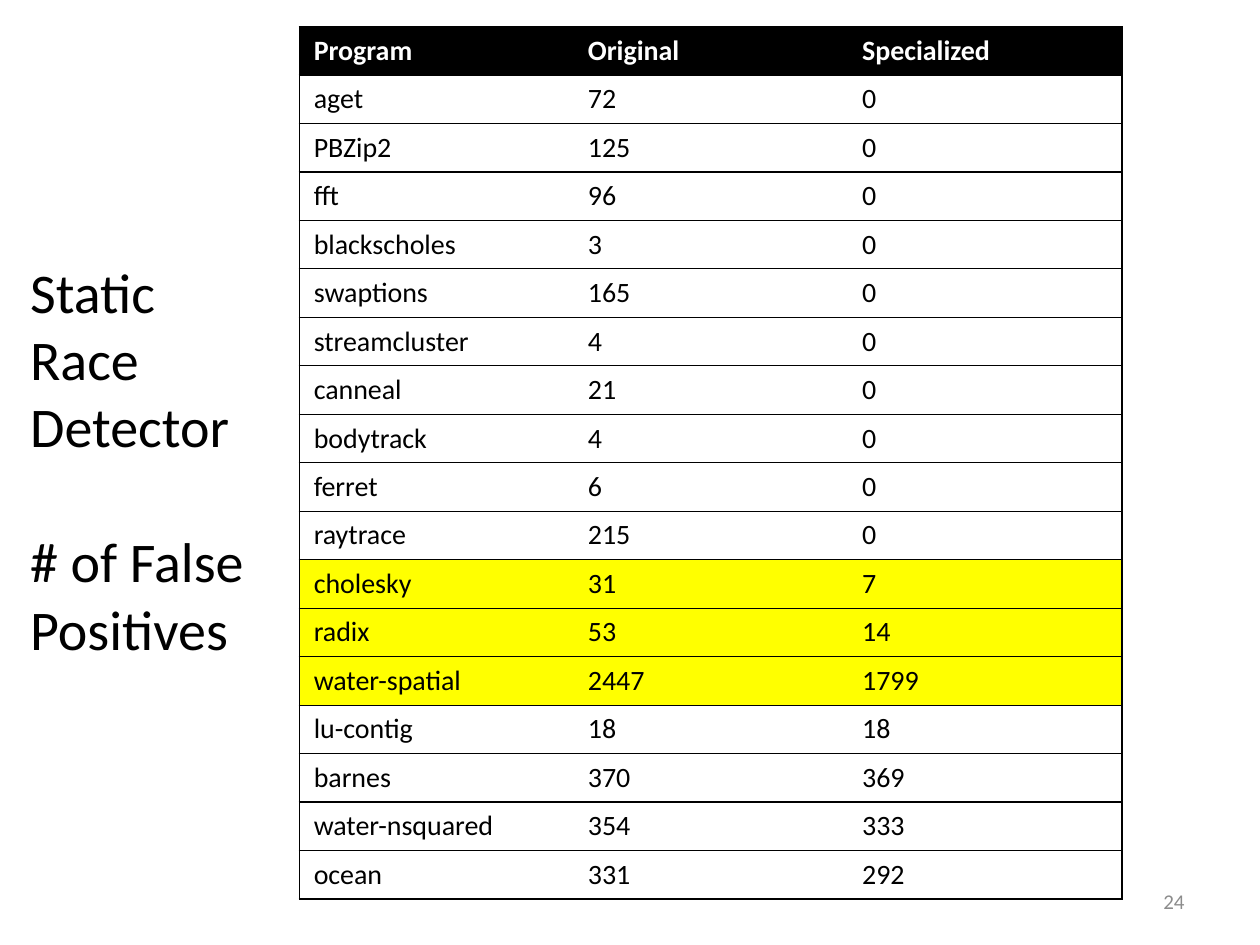
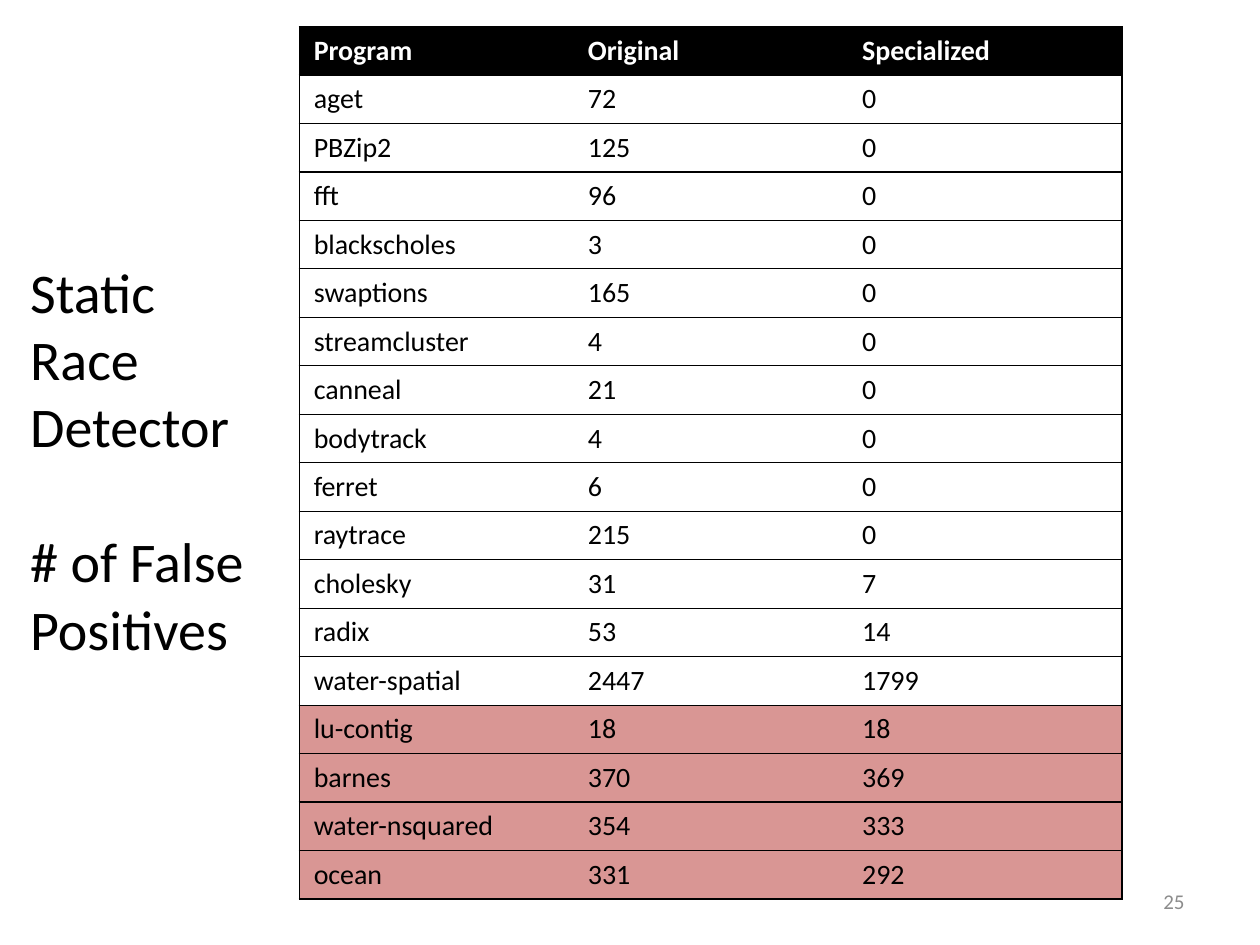
from lxml import etree
from pptx import Presentation
from pptx.dml.color import RGBColor
from pptx.enum.text import MSO_ANCHOR, MSO_AUTO_SIZE, PP_ALIGN
from pptx.oxml.ns import qn
from pptx.util import Pt

LEFT, RIGHT = PP_ALIGN.LEFT, PP_ALIGN.RIGHT
TOP, MIDDLE = MSO_ANCHOR.TOP, MSO_ANCHOR.MIDDLE
NO_AUTOFIT = MSO_AUTO_SIZE.NONE

TITLE_LINES = ["Static", "Race", "Detector", "# of False", "Positives"]
SECOND_PART = "# of False"
HEADER = ("Program", "Original", "Specialized")
FALSE_POSITIVES = [
    ("aget", 72, 0),
    ("PBZip2", 125, 0),
    ("fft", 96, 0),
    ("blackscholes", 3, 0),
    ("swaptions", 165, 0),
    ("streamcluster", 4, 0),
    ("canneal", 21, 0),
    ("bodytrack", 4, 0),
    ("ferret", 6, 0),
    ("raytrace", 215, 0),
    ("cholesky", 31, 7),
    ("radix", 53, 14),
    ("water-spatial", 2447, 1799),
    ("lu-contig", 18, 18),
    ("barnes", 370, 369),
    ("water-nsquared", 354, 333),
    ("ocean", 331, 292),
]
SLIDES = [
    {"number": 24, "highlight": "yellow",
     "programs": {"cholesky", "radix", "water-spatial"}},
    {"number": 25, "highlight": "rose",
     "programs": {"lu-contig", "barnes", "water-nsquared", "ocean"}},
]

COLORS = {"black": "000000", "white": "FFFFFF", "grey": "8C8C8C",
          "yellow": "FFFF00", "rose": "D99694"}
FONT = "Calibri"
TITLE_BOX = (10, 143.3, 142.6, 240)
NUMBER_BOX = (516, 500.5, 168, 28.8)
TABLE_LEFT, TABLE_TOP = 171, 15.2
COLUMN_WIDTH, ROW_HEIGHT = 156.7, 27.72
CELL_INSET_X, CELL_INSET_Y = 8.3, 4.05
BORDER_WIDTH = 0.75
TITLE_GAP = 39
LAYOUT_TITLE_ONLY = 5


def style_text(paragraph, size, color, bold=False, align=LEFT):
    paragraph.alignment = align
    for run in paragraph.runs:
        run.font.name = FONT
        run.font.size = Pt(size)
        run.font.bold = bold
        run.font.color.rgb = RGBColor.from_string(COLORS[color])


def set_borders(cell, visible_sides):
    """Draw the sides given, of L, R, T and B, and clear the others."""
    properties = cell._tc.get_or_add_tcPr()
    for side in "LRTB":
        line = etree.SubElement(properties, qn(f"a:ln{side}"), w=str(Pt(BORDER_WIDTH)))
        if side in visible_sides:
            fill = etree.SubElement(line, qn("a:solidFill"))
            etree.SubElement(fill, qn("a:srgbClr"), val=COLORS["black"])
        else:
            etree.SubElement(line, qn("a:noFill"))


def add_title(slide):
    title = slide.shapes.title
    title.left, title.top, title.width, title.height = map(Pt, TITLE_BOX)
    frame = title.text_frame
    frame.text = "\n".join(TITLE_LINES)
    frame.auto_size = NO_AUTOFIT
    frame.vertical_anchor = TOP
    for paragraph in frame.paragraphs:
        style_text(paragraph, 32, "black")
        if paragraph.text == SECOND_PART:
            paragraph.space_before = Pt(TITLE_GAP)


def add_slide_number(slide, number):
    frame = slide.shapes.add_textbox(*map(Pt, NUMBER_BOX)).text_frame
    frame.word_wrap = True
    frame.vertical_anchor = MIDDLE
    frame.text = str(number)
    style_text(frame.paragraphs[0], 12, "grey", align=RIGHT)


def add_results_table(slide, programs, highlight):
    rows = [HEADER, *FALSE_POSITIVES]
    last_column = len(HEADER) - 1
    table = slide.shapes.add_table(
        len(rows), len(HEADER), Pt(TABLE_LEFT), Pt(TABLE_TOP),
        Pt(COLUMN_WIDTH * len(HEADER)), Pt(ROW_HEIGHT * len(rows))).table
    table.horz_banding = False
    for column in table.columns:
        column.width = Pt(COLUMN_WIDTH)
    for r, values in enumerate(rows):
        table.rows[r].height = Pt(ROW_HEIGHT)
        is_header = r == 0
        if is_header:
            background = "black"
        else:
            background = highlight if values[0] in programs else "white"
        for c, value in enumerate(values):
            cell = table.cell(r, c)
            cell.text_frame.text = str(value)
            cell.margin_left = cell.margin_right = Pt(CELL_INSET_X)
            cell.margin_top = cell.margin_bottom = Pt(CELL_INSET_Y)
            style_text(cell.text_frame.paragraphs[0], 16,
                       "white" if is_header else "black", bold=is_header)
            outer_sides = ("L" if c == 0 else "") + ("R" if c == last_column else "")
            set_borders(cell, "TB" + outer_sides)
            cell.fill.solid()
            cell.fill.fore_color.rgb = RGBColor.from_string(COLORS[background])


def main():
    prs = Presentation()
    prs.slide_width, prs.slide_height = Pt(720), Pt(540)
    for content in SLIDES:
        slide = prs.slides.add_slide(prs.slide_layouts[LAYOUT_TITLE_ONLY])
        add_slide_number(slide, content["number"])
        add_results_table(slide, content["programs"], content["highlight"])
        add_title(slide)
    prs.save("out.pptx")


if __name__ == "__main__":
    main()
